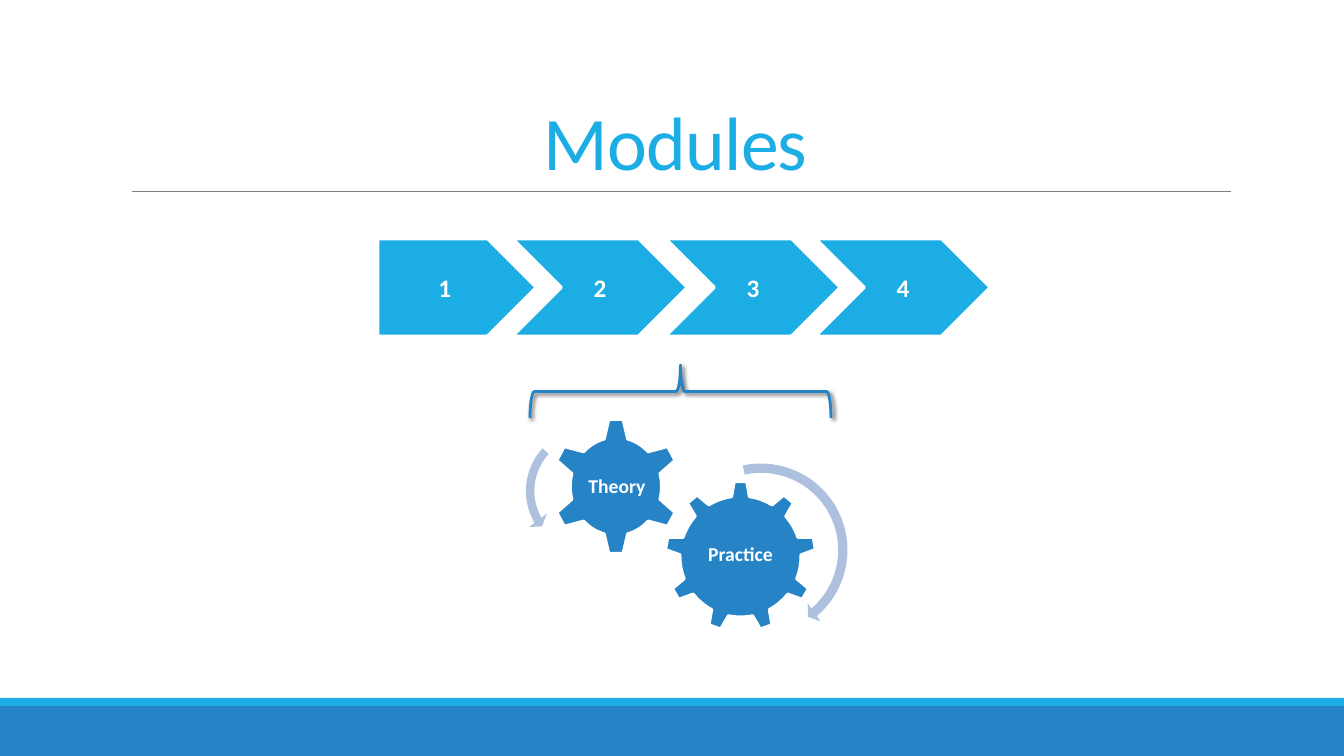
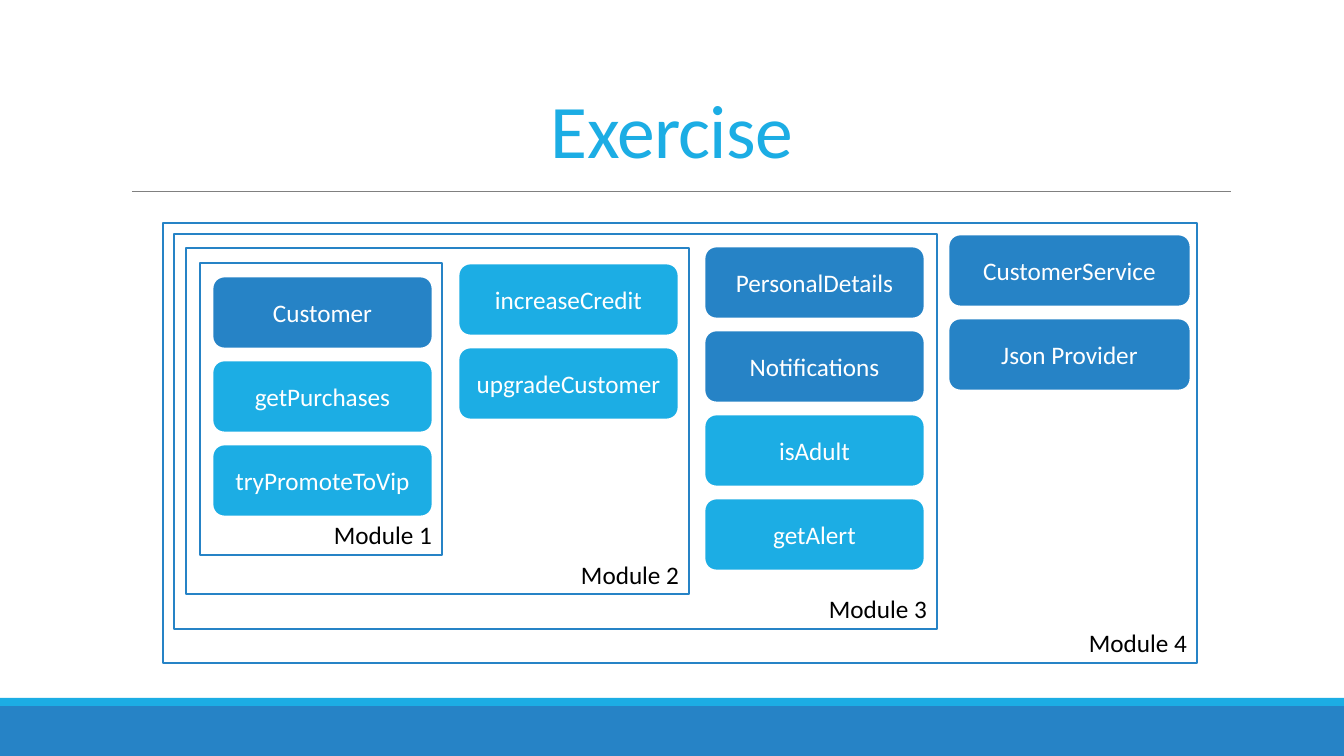
from lxml import etree
from pptx import Presentation
from pptx.dml.color import RGBColor
from pptx.enum.shapes import MSO_CONNECTOR, MSO_SHAPE
from pptx.enum.text import MSO_ANCHOR, MSO_AUTO_SIZE, PP_ALIGN
from pptx.oxml.ns import qn
from pptx.util import Emu, Pt

RECT, ROUND = MSO_SHAPE.RECTANGLE, MSO_SHAPE.ROUNDED_RECTANGLE
PENT, CHEV = MSO_SHAPE.PENTAGON, MSO_SHAPE.CHEVRON
GEAR6, GEAR9 = MSO_SHAPE.GEAR_6, MSO_SHAPE.GEAR_9
ARC, LARC = MSO_SHAPE.CIRCULAR_ARROW, MSO_SHAPE.LEFT_CIRCULAR_ARROW
BRACE, LINE = MSO_SHAPE.RIGHT_BRACE, MSO_CONNECTOR.STRAIGHT
MID, LOW = MSO_ANCHOR.MIDDLE, MSO_ANCHOR.BOTTOM
CENTER, RIGHT = PP_ALIGN.CENTER, PP_ALIGN.RIGHT
FIXED = MSO_AUTO_SIZE.NONE

FONT = "Calibri"
BLUE, SKY, PALE = "2683C6", "1CADE4", "ADC1DF"
WHITE, BLACK, GRAY = "FFFFFF", "000000", "808080"
SCALE = 914400 / 100.8

BANDS = [((0, 706, 1344, 50), BLUE), ((0, 698, 1344, 8), SKY)]
RULE = (132, 191, 1231, 191)

STEPS = [
    ("1", PENT, 378, 158),
    ("2", CHEV, 513, 174),
    ("3", CHEV, 666, 174),
    ("4", CHEV, 816, 174),
]
STEP_TOP, STEP_H = 239, 97
GEARS = [
    ("Practice", GEAR9, (665, 481, 151, 151), (695, 516, 91, 78)),
    ("Theory", GEAR6, (551, 418, 130, 137), (585, 453, 64, 68)),
]
ARROWS = [
    (ARC, (668, 457, 186, 186), 0,
     (0.05, 3.13, 29.74, 154.69, 0.06)),
    (LARC, (519, 421, 140, 140), 335.3,
     (0.06, 4.3, 104.89, 148.38, 0.08)),
]
CURLY = (654, 241, 53, 301)

CARD_H, PITCH = 73, 84
MODULES = [
    ("Module 4", (163, 223, 1034, 440), (948, 234, 243),
     [("CustomerService", BLUE), ("Json Provider", BLUE)]),
    ("Module 3", (174, 234, 763, 395), (704, 246, 221),
     [("PersonalDetails", BLUE), ("Notifications", BLUE),
      ("isAdult", SKY), ("getAlert", SKY)]),
    ("Module 2", (186, 248, 503, 346), (458, 263, 221),
     [("increaseCredit", SKY), ("upgradeCustomer", SKY)]),
    ("Module 1", (200, 263, 242, 292), (212, 276, 221),
     [("Customer", BLUE), ("getPurchases", SKY),
      ("tryPromoteToVip", SKY)]),
]


def px(*nums):
    return [Emu(round(n * SCALE)) for n in nums]


def rgb(code):
    return RGBColor.from_string(code)


def write(frame, text, size, color, bold=False, align=CENTER, anchor=MID):
    frame.word_wrap = True
    frame.vertical_anchor = anchor
    para = frame.paragraphs[0]
    para.alignment = align
    run = para.add_run()
    run.text = text
    font = run.font
    font.name, font.size, font.bold = FONT, Pt(size), bold
    font.color.rgb = rgb(color)
    return para, run


def draw(slide, kind, box, fill=None, line=None):
    shape = slide.shapes.add_shape(kind, *px(*box))
    shape.shadow.inherit = False
    if fill:
        shape.fill.solid()
        shape.fill.fore_color.rgb = rgb(fill)
    else:
        shape.fill.background()
    if line:
        shape.line.color.rgb = rgb(line)
        shape.line.width = Pt(2)
    else:
        shape.line.fill.background()
    return shape


def label(slide, box, text):
    area = slide.shapes.add_textbox(*px(*box))
    frame = area.text_frame
    frame.margin_left = frame.margin_right = Pt(1.4)
    frame.margin_top = frame.margin_bottom = Pt(1.4)
    para, run = write(frame, text, 14, WHITE, True)
    para.line_spacing = 0.9


def shade(shape):
    old = shape.element.spPr.find(qn("a:effectLst"))
    glow = etree.SubElement(
        old, qn("a:outerShdw"), blurRad=str(Pt(3)), dist=str(Pt(2)),
        dir=str(45 * 60000), rotWithShape="0")
    tint = etree.SubElement(glow, qn("a:srgbClr"), val=BLACK)
    etree.SubElement(tint, qn("a:alpha"), val="60000")


def head(slide, text, box):
    title = slide.shapes.title
    title.left, title.top, title.width, title.height = px(*box)
    frame = title.text_frame
    frame.auto_size = FIXED
    para, run = write(frame, text, 54, SKY, anchor=LOW)
    para.line_spacing = 0.85
    run.font.element.set("spc", "-50") if hasattr(run.font, "element") else \
        run._r.get_or_add_rPr().set("spc", "-50")


def frame_up(slide, layout):
    parts = [draw(slide, RECT, box, fill) for box, fill in BANDS]
    rule = slide.shapes.add_connector(LINE, *px(*RULE))
    rule.line.color.rgb = rgb(GRAY)
    rule.line.width = Pt(0.5)
    etree.SubElement(rule.element.spPr, qn("a:effectLst"))
    first, *rest = list(layout.placeholders)
    for spare in rest:
        spare.element.getparent().remove(spare.element)
    for part in parts + [rule]:
        first.element.addprevious(part.element)


deck = Presentation()
deck.slide_width, deck.slide_height = px(1344, 756)
layout = deck.slide_layouts.get_by_name("Title Only")

slide = deck.slides.add_slide(layout)
frame_up(slide, layout)
head(slide, "Modules", (121, 31, 1109, 160))
for text, kind, left, width in STEPS:
    step = draw(slide, kind, (left, STEP_TOP, width, STEP_H), SKY, WHITE)
    write(step.text_frame, text, 18, WHITE, True)
for text, kind, box, area in GEARS:
    draw(slide, kind, box, BLUE, WHITE)
    label(slide, area, text)
for kind, box, turn, bends in ARROWS:
    arrow = draw(slide, kind, box, PALE)
    arrow.rotation = turn
    for i, bend in enumerate(bends):
        arrow.adjustments[i] = bend
brace = draw(slide, BRACE, CURLY, line=BLUE)
brace.rotation = 270
shade(brace)

slide = deck.slides.add_slide(layout)
head(slide, "Exercise", (148, 43, 1048, 136))
for name, box, (left, top, width), cards in MODULES:
    module = draw(slide, RECT, box, line=BLUE)
    write(module.text_frame, name, 18, BLACK, align=RIGHT, anchor=LOW)
    for i, (text, fill) in enumerate(cards):
        spot = (left, top + i * PITCH, width, CARD_H)
        card = draw(slide, ROUND, spot, fill, WHITE)
        write(card.text_frame, text, 18, WHITE)

deck.save("out.pptx")
